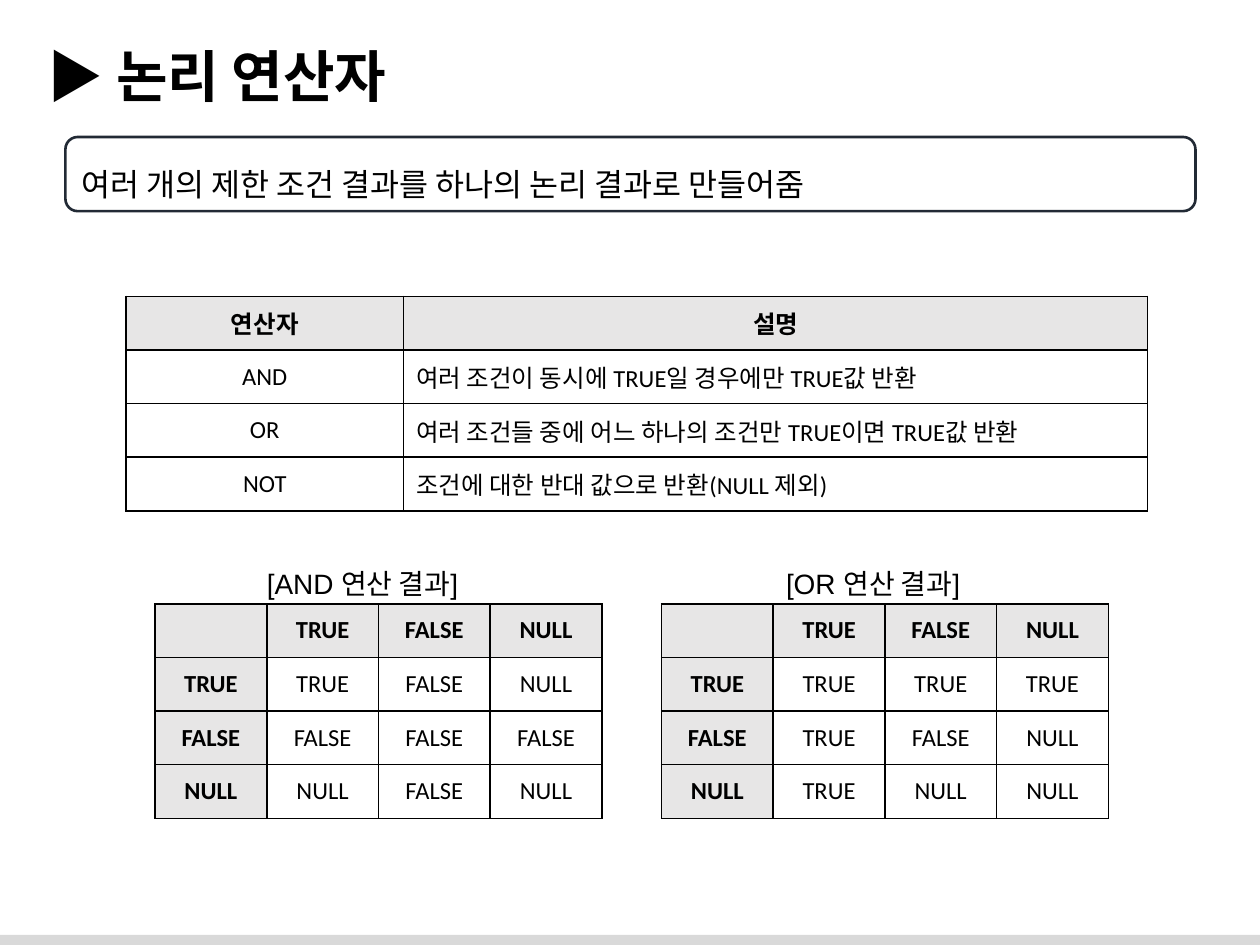
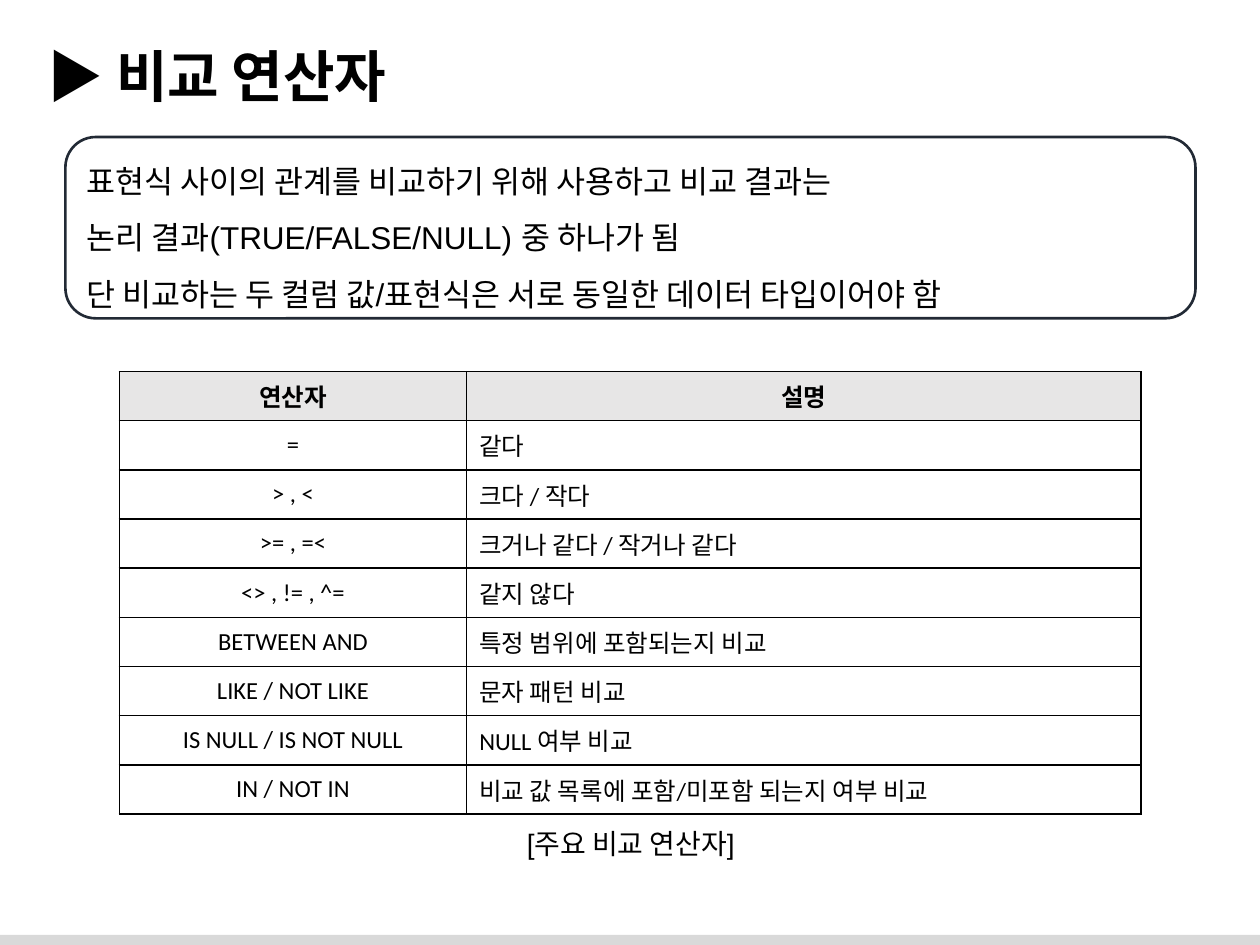
"""Builds two slides on SQL logical and comparison operators."""
from pptx import Presentation
from pptx.util import Pt
from pptx.dml.color import RGBColor
from pptx.enum.shapes import MSO_SHAPE as Shape
from pptx.enum.text import MSO_ANCHOR as Anchor, MSO_AUTO_SIZE as Fit, PP_ALIGN as Align
from pptx.oxml import parse_xml
from pptx.oxml.ns import nsdecls

HEAD = ("연산자", "설명")
LOGIC = {
    "title": "▶ 논리 연산자",
    "intro": ["여러 개의 제한 조건 결과를 하나의 논리 결과로 만들어줌"],
    "rows": [
        HEAD,
        ("AND", "여러 조건이 동시에 TRUE일 경우에만 TRUE값 반환"),
        ("OR", "여러 조건들 중에 어느 하나의 조건만 TRUE이면 TRUE값 반환"),
        ("NOT", "조건에 대한 반대 값으로 반환(NULL 제외)"),
    ],
}
COMPARE = {
    "title": "▶ 비교 연산자",
    "intro": [
        "표현식 사이의 관계를 비교하기 위해 사용하고 비교 결과는",
        "논리 결과(TRUE/FALSE/NULL) 중 하나가 됨",
        "단 비교하는 두 컬럼 값/표현식은 서로 동일한 데이터 타입이어야 함",
    ],
    "rows": [
        HEAD,
        ("=", "같다"),
        ("> , <", "크다 / 작다"),
        (">= , =<", "크거나 같다 / 작거나 같다"),
        ("<> , != , ^=", "같지 않다"),
        ("BETWEEN AND", "특정 범위에 포함되는지 비교"),
        ("LIKE / NOT LIKE", "문자 패턴 비교"),
        ("IS NULL / IS NOT NULL", "NULL 여부 비교"),
        ("IN / NOT IN", "비교 값 목록에 포함/미포함 되는지 여부 비교"),
    ],
}
STATES = ("TRUE", "FALSE", "NULL")
TRUTH = [
    {"label": "[AND 연산 결과]", "left": 88.6, "tag": (145.4, 139.7),
     "rows": [("TRUE", "FALSE", "NULL"), ("FALSE",) * 3, ("NULL", "FALSE", "NULL")]},
    {"label": "[OR 연산 결과]", "left": 378, "tag": (442.1, 122.4),
     "rows": [("TRUE",) * 3, ("TRUE", "FALSE", "NULL"), ("TRUE", "NULL", "NULL")]},
]
CAPTION = "[주요 비교 연산자]"

BLACK = RGBColor(0, 0, 0)
NAVY = RGBColor(0x22, 0x2A, 0x35)
BAND = RGBColor(0xD9, 0xD9, 0xD9)
SHADE = RGBColor(0xE7, 0xE6, 0xE6)
ROW = 30.65
SIDE = 63.85


def style(para, size, face="Arial", bold=False, align=Align.LEFT):
    para.alignment = align
    font = para.font
    font.size, font.name, font.bold = Pt(size), face, bold
    font.color.rgb = BLACK


def add_text(slide, text, spot, size, wrap=False, **look):
    frame = slide.shapes.add_textbox(*map(Pt, spot)).text_frame
    frame.word_wrap, frame.auto_size = wrap, Fit.SHAPE_TO_FIT_TEXT
    frame.text = text
    style(frame.paragraphs[0], size, **look)


def add_form(slide, kind, spot):
    form = slide.shapes.add_shape(kind, *map(Pt, spot))
    form.shadow.inherit = False
    return form


def add_base(deck, topic, high):
    slide = deck.slides.add_slide(deck.slide_layouts[6])
    band = add_form(slide, Shape.RECTANGLE, (-1.5, 534.25, 723, 8))
    band.fill.solid()
    band.fill.fore_color.rgb = BAND
    band.line.fill.background()
    add_text(slide, topic["title"], (20, 20, 680.4, 46), 32, wrap=True, bold=True)
    box = add_form(slide, Shape.ROUNDED_RECTANGLE, (37.4, 78.3, 645.8, high))
    box.fill.background()
    box.line.color.rgb, box.line.width = NAVY, Pt(1.5)
    frame = box.text_frame
    frame.word_wrap, frame.vertical_anchor = True, Anchor.MIDDLE
    frame.text = "\n".join(topic["intro"])
    for para in frame.paragraphs:
        style(para, 18)
        para.line_spacing = 1.5
    return slide


def add_edges(cell):
    props = cell._tc.get_or_add_tcPr()
    for spot, side in enumerate("LRTB"):
        props.insert(spot, parse_xml(
            f'<a:ln{side} {nsdecls("a")} w="12700"><a:solidFill>'
            f'<a:srgbClr val="{BLACK}"/></a:solidFill></a:ln{side}>'))


def add_grid(slide, rows, left, top, cols, high, truth=False):
    spot = left, top, sum(cols), high * len(rows)
    grid = slide.shapes.add_table(len(rows), len(cols), *map(Pt, spot)).table
    grid.first_row = grid.horz_banding = False
    for col, wide in zip(grid.columns, cols):
        col.width = Pt(wide)
    for r, row in enumerate(rows):
        grid.rows[r].height = Pt(high)
        for c, text in enumerate(row):
            cell = grid.cell(r, c)
            head = r == 0 or (truth and c == 0)
            mid = head or truth or c == 0
            cell.text, cell.vertical_anchor = text, Anchor.MIDDLE
            style(cell.text_frame.paragraphs[0], 14, "Calibri", head,
                  Align.CENTER if mid else Align.LEFT)
            if head:
                cell.fill.solid()
                cell.fill.fore_color.rgb = SHADE
            else:
                cell.fill.background()
            add_edges(cell)


def main():
    deck = Presentation()
    deck.slide_width, deck.slide_height = Pt(720), Pt(540)

    slide = add_base(deck, LOGIC, 42.4)
    add_grid(slide, LOGIC["rows"], 72, 169.3, (158.6, 425.2), ROW)
    for part in TRUTH:
        rows = [("", *STATES)] + [(key, *row) for key, row in zip(STATES, part["rows"])]
        add_grid(slide, rows, part["left"], 345, (SIDE,) * 4, ROW, truth=True)
        left, wide = part["tag"]
        add_text(slide, part["label"], (left, 320.4, wide, 26.6), 16)

    slide = add_base(deck, COMPARE, 103.6)
    add_grid(slide, COMPARE["rows"], 68.2, 212.3, (198.5, 385.4), 28.1)
    add_text(slide, CAPTION, (283, 468.7, 154.8, 26.6), 16, align=Align.CENTER)
    deck.save("out.pptx")


if __name__ == "__main__":
    main()
